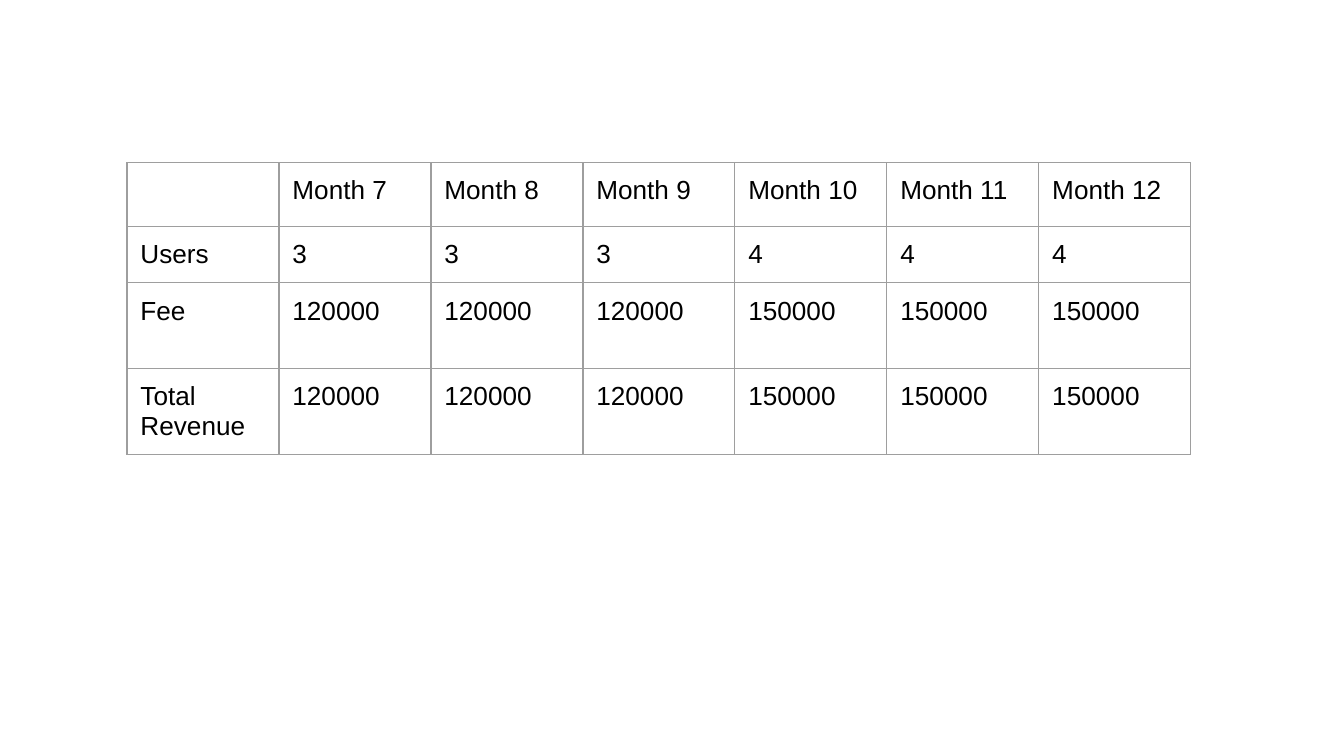
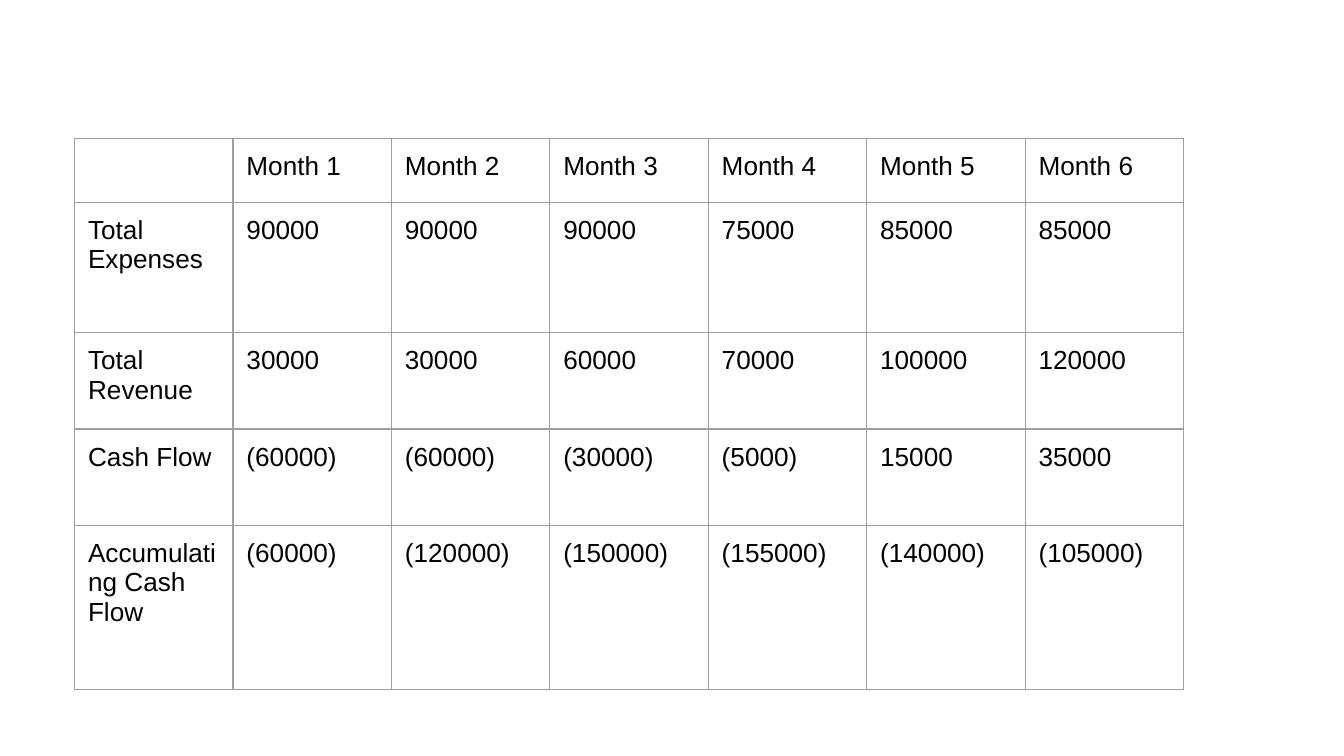
from dataclasses import dataclass

from lxml.etree import SubElement
from pptx import Presentation
from pptx.dml.color import RGBColor
from pptx.oxml.ns import qn
from pptx.slide import Slide
from pptx.table import _Cell
from pptx.util import Inches, Pt

COLORS = {"text": "000000", "border": "9E9E9E", "background": "FFFFFF"}
FONT, TEXT_SIZE = "Arial", Pt(14)
BORDER_WIDTH = Pt(0.75)

prs = Presentation()
prs.slide_width = Inches(10)
prs.slide_height = prs.slide_width * 9 // 16
UNIT = prs.slide_width // 100  # square grid, 100 columns across the slide
INSET = UNIT


@dataclass(frozen=True)
class MonthTable:
    """Monthly figures; position and sizes are in grid units."""
    left: float
    top: float
    col_width: float
    row_heights: list[float]
    first_month: int
    figures: dict[str, list[str]]

    def rows(self) -> list[list[str]]:
        months = range(self.first_month, self.first_month + 6)
        header = ["", *(f"Month {m}" for m in months)]
        return [header, *([label, *vals] for label, vals in self.figures.items())]


def units(n: float) -> int:
    return round(n * UNIT)


def add_borders(cell: _Cell) -> None:
    tc_pr = cell._tc.get_or_add_tcPr()
    for side in ("a:lnL", "a:lnR", "a:lnT", "a:lnB"):
        ln = SubElement(tc_pr, qn(side), w=str(BORDER_WIDTH))
        fill = SubElement(ln, qn("a:solidFill"))
        SubElement(fill, qn("a:srgbClr"), val=COLORS["border"])


def fill_cell(cell: _Cell, text: str) -> None:
    cell.margin_left = cell.margin_right = INSET
    cell.margin_top = cell.margin_bottom = INSET
    add_borders(cell)
    cell.fill.background()
    p = cell.text_frame.paragraphs[0]
    if text:
        r = p.add_run()
        r.text = text
        r.font.name, r.font.size = FONT, TEXT_SIZE
        r.font.color.rgb = RGBColor.from_string(COLORS["text"])
    else:  # keep an empty cell from stretching its row
        SubElement(p._p, qn("a:endParaRPr"), sz=str(int(TEXT_SIZE.pt * 100)))


def draw_table(s: Slide, spec: MonthTable) -> None:
    rows = spec.rows()
    n_cols = len(rows[0])
    table = s.shapes.add_table(
        len(rows), n_cols, units(spec.left), units(spec.top),
        units(spec.col_width * n_cols), units(sum(spec.row_heights))).table
    table.first_row = table.horz_banding = False
    for col in table.columns:
        col.width = units(spec.col_width)
    for i, (height, values) in enumerate(zip(spec.row_heights, rows)):
        table.rows[i].height = units(height)
        for j, text in enumerate(values):
            fill_cell(table.cell(i, j), text)


def add_slide() -> Slide:
    s = prs.slides.add_slide(prs.slide_layouts[6])
    s.background.fill.solid()
    s.background.fill.fore_color.rgb = RGBColor.from_string(COLORS["background"])
    return s


# Revenue for the second half of the year
second_half = ["120000"] * 3 + ["150000"] * 3
revenue = MonthTable(9.45, 12.1, 11.31, [4.75, 4.2, 6.38, 6.35], 7, {
    "Users": ["3"] * 3 + ["4"] * 3,
    "Fee": second_half,
    "Total Revenue": second_half,
})

# Cash flow for the first half of the year
cash_flow = MonthTable(5.55, 10.3, 11.79, [4.75, 9.7, 7.17, 7.17, 12.2], 1, {
    "Total Expenses": ["90000", "90000", "90000", "75000", "85000", "85000"],
    "Total Revenue": ["30000", "30000", "60000", "70000", "100000", "120000"],
    "Cash Flow": ["(60000)", "(60000)", "(30000)", "(5000)", "15000", "35000"],
    "Accumulating Cash Flow": ["(60000)", "(120000)", "(150000)",
                               "(155000)", "(140000)", "(105000)"],
})

for spec in (revenue, cash_flow):
    draw_table(add_slide(), spec)

prs.save("out.pptx")
